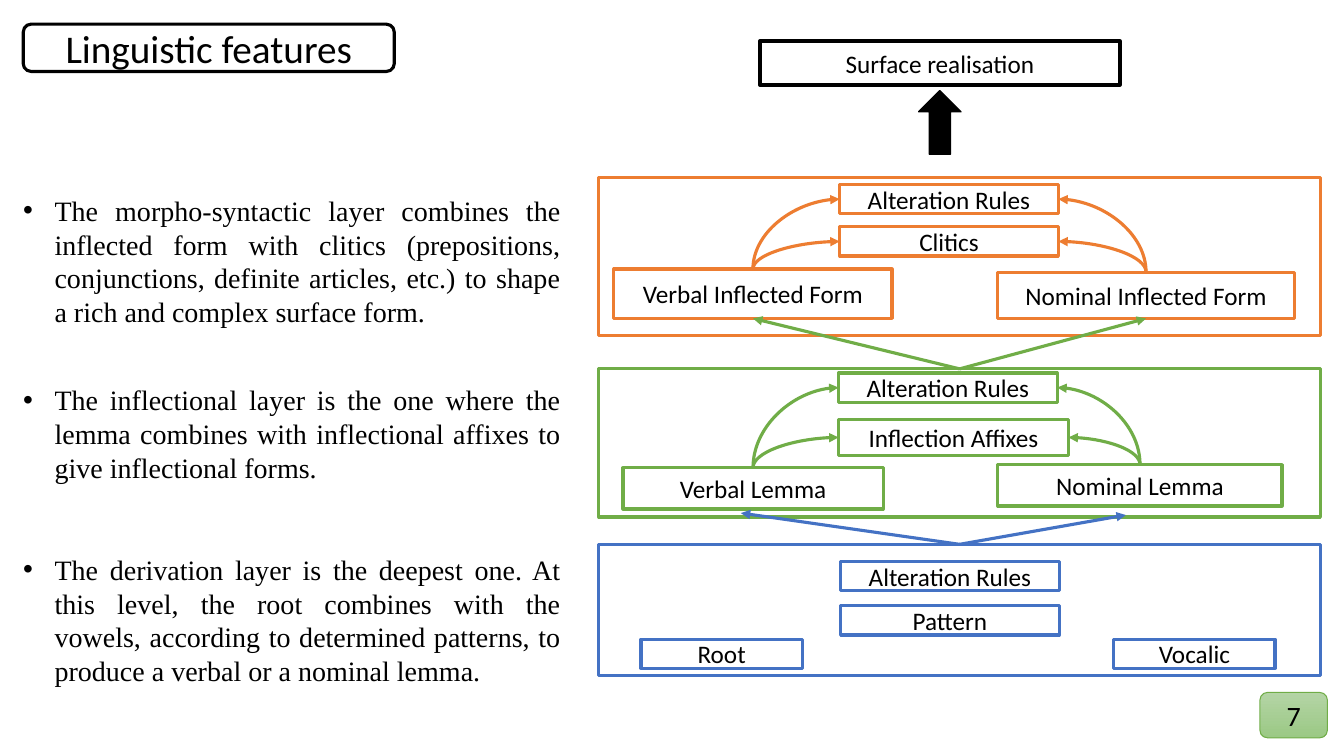
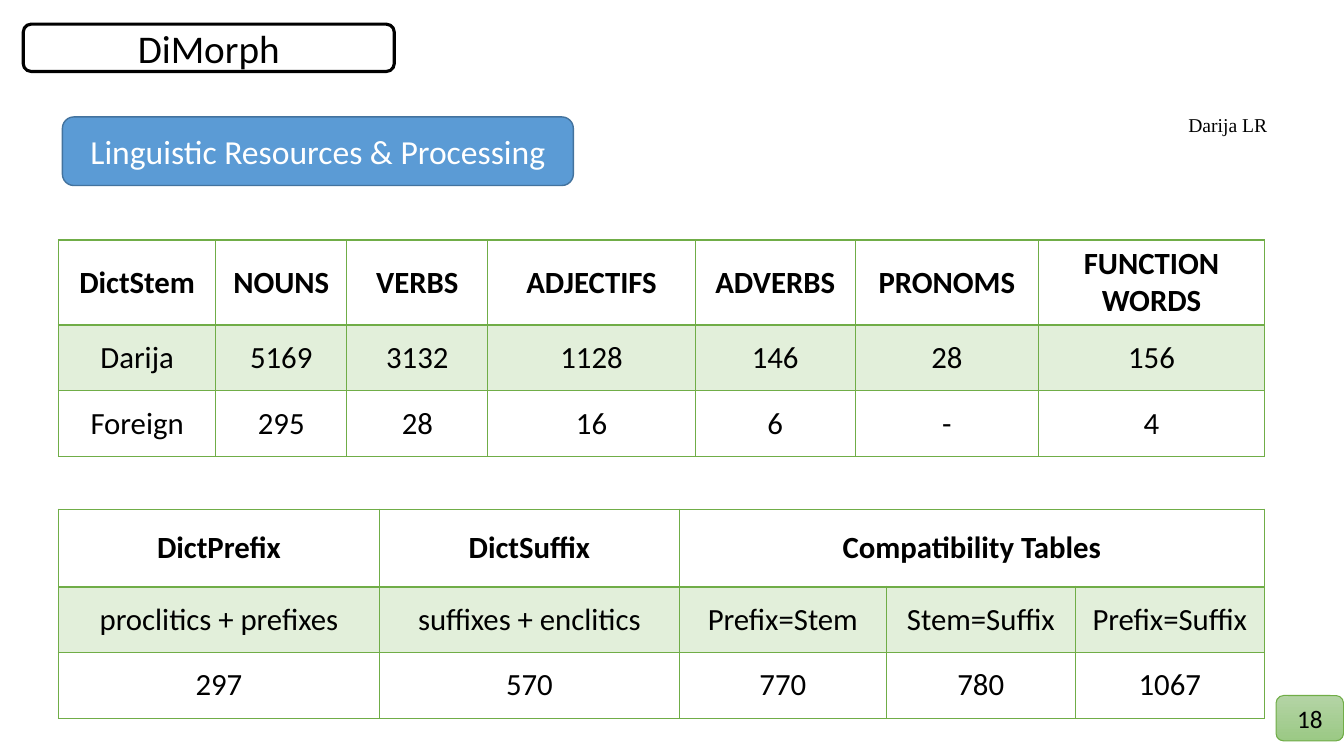
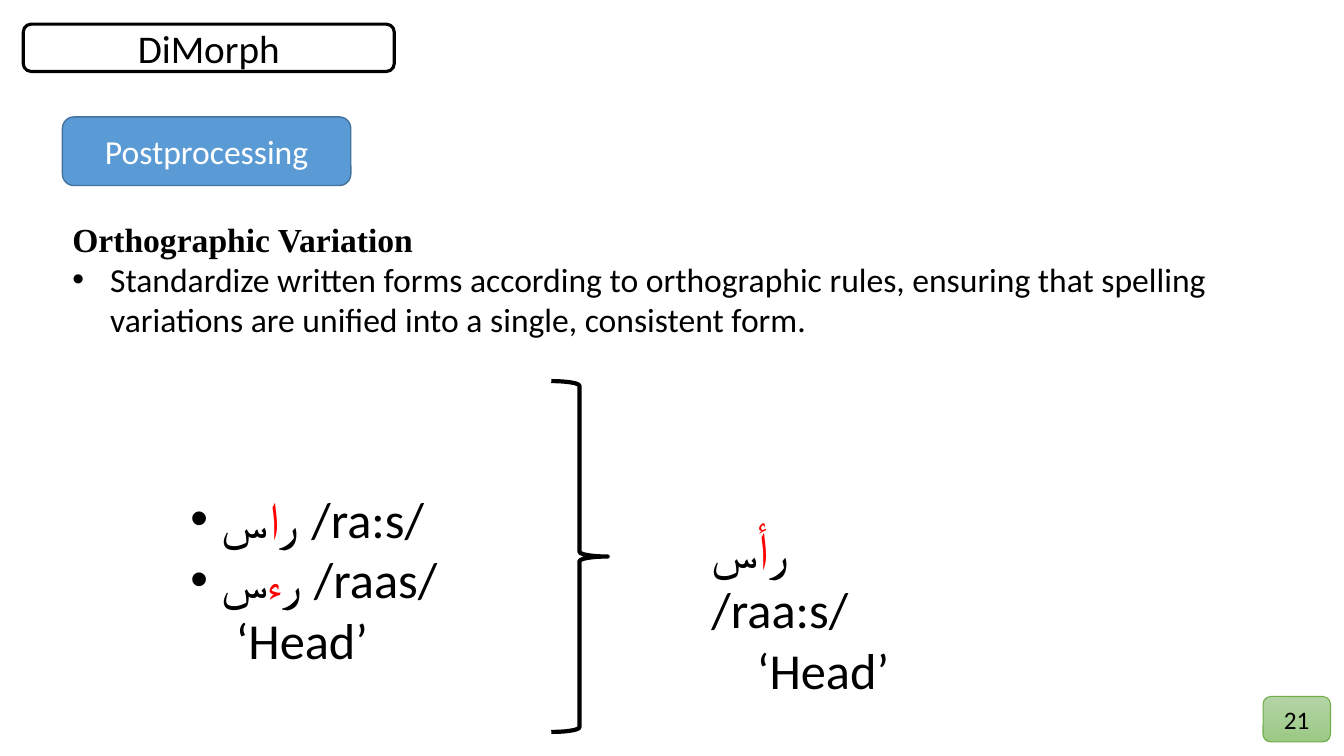
from dataclasses import dataclass

from lxml.etree import SubElement
from pptx import Presentation
from pptx.dml.color import RGBColor as RGB
from pptx.enum.shapes import MSO_CONNECTOR as LINK, MSO_SHAPE as SHAPE
from pptx.enum.text import MSO_ANCHOR as ANCHOR, PP_ALIGN as ALIGN
from pptx.oxml.ns import qn
from pptx.util import Pt


@dataclass(frozen=True)
class Theme:
    black: RGB = RGB(0x00, 0x00, 0x00)
    white: RGB = RGB(0xFF, 0xFF, 0xFF)
    red: RGB = RGB(0xFF, 0x00, 0x00)
    orange: RGB = RGB(0xED, 0x7D, 0x31)
    green: RGB = RGB(0x70, 0xAD, 0x47)
    blue: RGB = RGB(0x44, 0x72, 0xC4)
    section: RGB = RGB(0x5B, 0x9B, 0xD5)
    section_edge: RGB = RGB(0x43, 0x73, 0x9E)
    badge_top: RGB = RGB(0xB4, 0xD4, 0xA5)
    badge_bottom: RGB = RGB(0x9B, 0xC9, 0x85)
    row_tint: RGB = RGB(0xE2, 0xEF, 0xDA)
    sans: str = "Calibri"
    serif: str = "Times New Roman"
    title: int = 28
    heading: int = 24
    cell: int = 22
    body: int = 20
    label: int = 18
    note: int = 14
    example: int = 36
    stroke: float = 2.25


THEME = Theme()
TOP, LEFT, BOTTOM, RIGHT = range(4)


# Text
def style(run, size, colour=THEME.black, font=THEME.sans, bold=False):
    run.font.size = Pt(size)
    run.font.name = font
    run.font.bold = bold
    run.font.color.rgb = colour


def write(paragraph, text, size, align=ALIGN.LEFT, **look):
    paragraph.text = text
    paragraph.alignment = align
    for run in paragraph.runs:
        style(run, size, **look)


def write_word(paragraph, before, marked, after):
    """Write an example word with its marked letter in red."""
    for text, colour in ((before, THEME.black), (marked, THEME.red), (after, THEME.black)):
        run = paragraph.add_run()
        run.text = text
        style(run, THEME.example, colour)


def indent(paragraph, margin, bullet=True):
    props = paragraph._p.get_or_add_pPr()
    props.set("marL", str(Pt(margin)))
    if bullet:
        props.set("indent", str(-Pt(margin)))
        SubElement(props, qn("a:buFont")).set("typeface", "Arial")
        SubElement(props, qn("a:buChar")).set("char", "•")


def text_box(slide, x, y, w, h, count=1):
    """Add a wrapping text box and return its paragraphs."""
    frame = slide.shapes.add_textbox(Pt(x), Pt(y), Pt(w), Pt(h)).text_frame
    frame.word_wrap = True
    for _ in range(count - 1):
        frame.add_paragraph()
    return frame.paragraphs


# Shapes
def outline(slide, kind, x, y, w, h, colour, width=THEME.stroke):
    shape = slide.shapes.add_shape(kind, Pt(x), Pt(y), Pt(w), Pt(h))
    shape.shadow.inherit = False
    shape.line.color.rgb = colour
    shape.line.width = Pt(width)
    shape.fill.background()
    return shape


def box(slide, x, y, w, h, colour, text="", size=THEME.label, width=THEME.stroke,
        kind=SHAPE.RECTANGLE, fill=THEME.white, ink=THEME.black):
    shape = outline(slide, kind, x, y, w, h, colour, width)
    shape.fill.solid()
    shape.fill.fore_color.rgb = fill
    if text:
        write(shape.text_frame.paragraphs[0], text, size, ALIGN.CENTER, colour=ink)
    return shape


def section(slide, text, width):
    box(slide, 44.6, 83.5, width, 49, THEME.section_edge, text, THEME.heading, 1,
        SHAPE.ROUNDED_RECTANGLE, THEME.section, THEME.white)


def page_badge(slide, number, x, y, size=THEME.label):
    badge = box(slide, x, y, 48.2, 32.4, THEME.green, number, size, 0.75,
                SHAPE.ROUNDED_RECTANGLE)
    badge.fill.gradient()
    badge.fill.gradient_angle = 270
    for stop, colour in zip(badge.fill.gradient_stops, (THEME.badge_top, THEME.badge_bottom)):
        stop.color.rgb = colour


def new_slide(deck, title):
    slide = deck.slides.add_slide(deck.slide_layouts[6])
    box(slide, 16.6, 17.3, 265, 33.8, THEME.black, title, THEME.title,
        kind=SHAPE.ROUNDED_RECTANGLE)
    return slide


# Connectors
def connector(slide, kind, colour, arrow_end, end=(0, 0)):
    link = slide.shapes.add_connector(kind, 0, 0, Pt(end[0]), Pt(end[1]))
    link.line.color.rgb = colour
    link.line.width = Pt(THEME.stroke)
    SubElement(link.line._get_or_add_ln(), qn(f"a:{arrow_end}")).set("type", "triangle")
    SubElement(link._element.spPr, qn("a:effectLst"))
    return link


def curve(slide, target, side, source, colour):
    """Bend from the top of source to one side of target, arrow at target."""
    link = connector(slide, LINK.CURVE, colour, "headEnd")
    link.begin_connect(target, side)
    link.end_connect(source, TOP)
    link._element.spPr.find(qn("a:prstGeom")).set("prst", "curvedConnector2")


def rise(slide, layer, colour, form=None, end=(0, 0)):
    """Lead from the top of a layer to a form above it, or to a free point."""
    link = connector(slide, LINK.STRAIGHT, colour, "tailEnd", end)
    link.begin_connect(layer, TOP)
    if form is not None:
        link.end_connect(form, BOTTOM)


# Tables
def border(cell, edge, width):
    line = SubElement(cell._tc.get_or_add_tcPr(), qn(f"a:ln{edge}"))
    line.set("w", str(Pt(width)))
    fill = SubElement(line, qn("a:solidFill"))
    SubElement(fill, qn("a:srgbClr")).set("val", str(THEME.green))


def table(slide, y, widths, heights, rows):
    """Add a table; a None entry merges into the cell on its left."""
    grid = slide.shapes.add_table(len(rows), len(widths), Pt(41.8), Pt(y),
                                  Pt(sum(widths)), Pt(sum(heights))).table
    grid.horz_banding = False
    for column, width in zip(grid.columns, widths):
        column.width = Pt(width)
    for r, (height, entries) in enumerate(zip(heights, rows)):
        grid.rows[r].height = Pt(height)
        for c, entry in enumerate(entries):
            cell = grid.cell(r, c)
            edges = {"L": 1, "R": 1, "T": 2 if r == 1 else 1, "B": 2 if r == 0 else 1}
            for edge, width in edges.items():
                border(cell, edge, width)
            if r == 1:
                cell.fill.solid()
                cell.fill.fore_color.rgb = THEME.row_tint
            else:
                cell.fill.background()
            cell.vertical_anchor = ANCHOR.MIDDLE
            if entry is not None:
                write(cell.text_frame.paragraphs[0], entry, THEME.cell, ALIGN.CENTER,
                      bold=r == 0)
        # Merge each run of None entries with the cell before it
        for c, entry in enumerate(entries):
            span = 1
            while c + span < len(entries) and entries[c + span] is None:
                span += 1
            if entry is not None and span > 1:
                grid.cell(r, c).merge(grid.cell(r, c + span - 1))


# Slides
def features_slide(deck):
    slide = new_slide(deck, "Linguistic features")

    # Layer frames
    syntax, inflection, derivation = [
        box(slide, 427.7, y, 515.5, h, colour)
        for y, h, colour in ((126.7, 113, THEME.orange), (263.5, 105.8, THEME.green),
                             (388.8, 93.6, THEME.blue))]

    # Derivation layer
    for text, x, y, w in (("Root", 457.9, 456.5, 115.2), ("Vocalic", 795.6, 456.5, 115.2),
                          ("Pattern", 600.5, 432.7, 156.2),
                          ("Alteration Rules", 600.5, 401, 156.2)):
        box(slide, x, y, w, 20.9, THEME.blue, text)

    # Upper layers: verbal form, nominal form, then what they combine with
    layers = (
        (THEME.green, (("Verbal Lemma", 445, 334.1, 185.8, 29.5),
                       ("Nominal Lemma", 712.8, 331.9, 203, 29.5),
                       ("Inflection Affixes", 599, 299.5, 164.2, 25.9),
                       ("Alteration Rules", 599, 266.4, 156.2, 20.9))),
        (THEME.orange, (("Verbal Inflected Form", 438.5, 192.2, 198.7, 35.3),
                        ("Nominal Inflected Form", 712.8, 194.4, 211.7, 33.1),
                        ("Clitics", 599.8, 162, 156.2, 20.9),
                        ("Alteration Rules", 599.8, 131.8, 156.2, 20.9))),
    )
    for colour, parts in layers:
        verbal, nominal, *partners = [box(slide, *place, colour, text)
                                      for text, *place in parts]
        for partner in partners:
            curve(slide, partner, LEFT, verbal, colour)
            curve(slide, partner, RIGHT, nominal, colour)

    # Links between layers
    for end in ((529.2, 366.5), (804.2, 367.9)):
        rise(slide, derivation, THEME.blue, end=end)
    for form in (verbal, nominal):
        rise(slide, inflection, THEME.green, form)

    # Result
    box(slide, 542.9, 29.5, 257, 31, THEME.black, "Surface realisation", width=3)
    box(slide, 656.2, 64.8, 30.2, 45.4, THEME.black, width=1, kind=SHAPE.UP_ARROW,
        fill=THEME.black)

    # Explanations
    for y, h, text in (
        (134.6, 104.4, "The morpho-syntactic layer combines the inflected form with clitics "
         "(prepositions, conjunctions, definite articles, etc.) to shape a rich and complex "
         "surface form."),
        (270, 80, "The inflectional layer is the one where the lemma combines with "
         "inflectional affixes to give inflectional forms."),
        (391, 104.4, "The derivation layer is the deepest one. At this level, the root "
         "combines with the vowels, according to determined patterns, to produce a verbal "
         "or a nominal lemma."),
    ):
        explanation = text_box(slide, 9.4, y, 398.2, h)[0]
        write(explanation, text, THEME.body, ALIGN.JUSTIFY, font=THEME.serif)
        indent(explanation, 22.5)
    page_badge(slide, "7", 900, 494.6, THEME.body)


def resources_slide(deck):
    slide = new_slide(deck, "DiMorph")
    section(slide, "Linguistic Resources & Processing", 365)
    write(text_box(slide, 841.7, 77, 85.7, 24.5)[0], "Darija LR", THEME.note,
          font=THEME.serif)
    table(slide, 171.4, (112.3, 93.6, 100.8, 148.1, 114.3, 131, 161.3), (60.8, 46.9, 46.9), (
        ("DictStem", "NOUNS", "VERBS", "ADJECTIFS", "ADVERBS", "PRONOMS", "FUNCTION WORDS"),
        ("Darija", "5169", "3132", "1128", "146", "28", "156"),
        ("Foreign", "295", "28", "16", "6", "-", "4"),
    ))
    table(slide, 363.8, (229.2, 214.3, 147.8, 135, 135), (55.4, 46.9, 46.9), (
        ("DictPrefix", "DictSuffix", "Compatibility Tables", None, None),
        ("proclitics + prefixes", "suffixes + enclitics", "Prefix=Stem", "Stem=Suffix",
         "Prefix=Suffix"),
        ("297", "570", "770", "780", "1067"),
    ))
    page_badge(slide, "18", 911.5, 496.8)


def postprocessing_slide(deck):
    slide = new_slide(deck, "DiMorph")
    section(slide, "Postprocessing", 206)

    # Rule
    heading, rule = text_box(slide, 44.6, 152.6, 846.7, 94.3, 2)
    write(heading, "Orthographic Variation", THEME.heading, font=THEME.serif, bold=True)
    write(rule, "Standardize written forms according to orthographic rules, ensuring that "
          "spelling variations are unified into a single, consistent form.", THEME.heading)
    indent(rule, 27)

    # Variants, brace and unified form
    long_a, hamza, variant_gloss = text_box(slide, 128.9, 344.9, 305.3, 138.2, 3)
    write_word(long_a, "ر", "ا", "س /ra:s/")
    write_word(hamza, "ر", "ء", "س /raas/")
    for variant in (long_a, hamza):
        indent(variant, 22.5)
    outline(slide, SHAPE.RIGHT_BRACE, 393.8, 272.2, 40.3, 250.6, THEME.black, 3)
    unified, unified_gloss = text_box(slide, 501.1, 366.5, 165, 138.2, 2)
    write_word(unified, "ر", "أ", "س /raa:s/")
    for gloss in (variant_gloss, unified_gloss):
        write(gloss, "‘Head’", THEME.example)
        indent(gloss, 32.5, bullet=False)
    page_badge(slide, "21", 902.2, 497.5)


def main():
    deck = Presentation()
    deck.slide_width, deck.slide_height = Pt(960), Pt(540)
    features_slide(deck)
    resources_slide(deck)
    postprocessing_slide(deck)
    deck.save("out.pptx")


if __name__ == "__main__":
    main()
